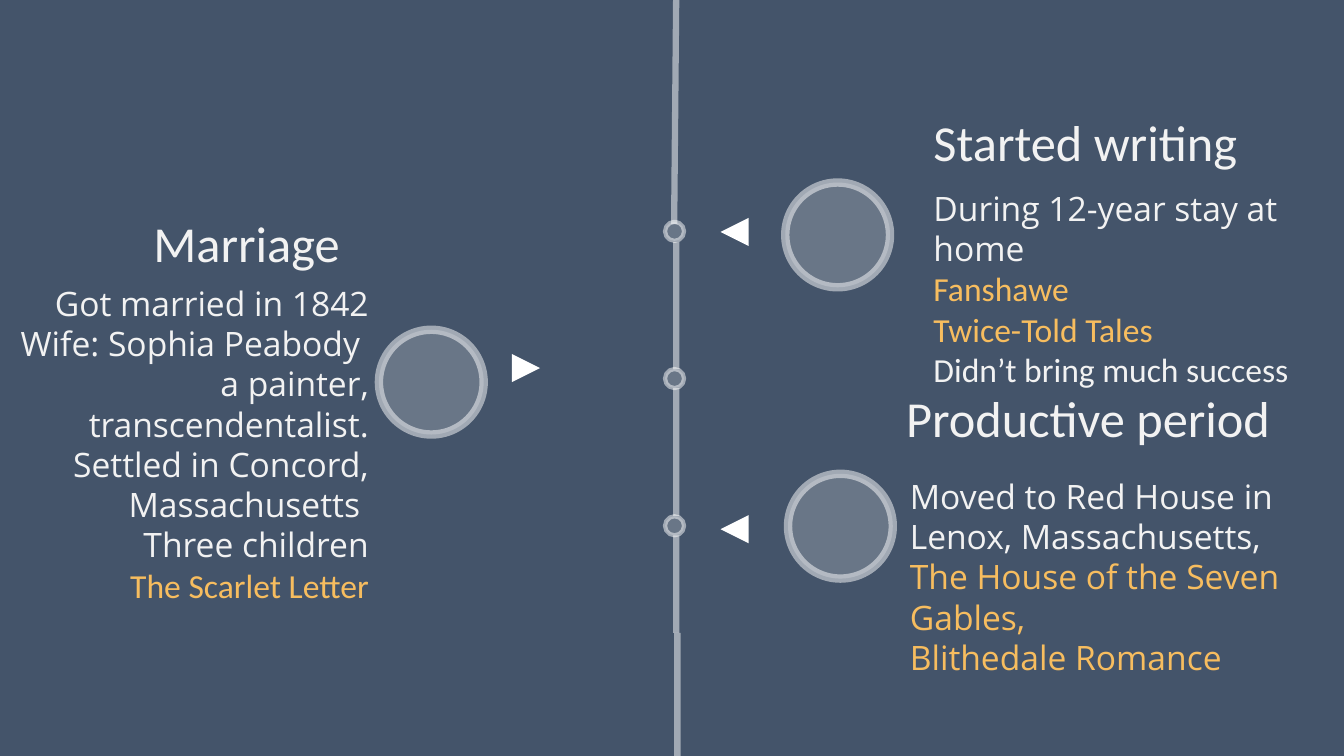
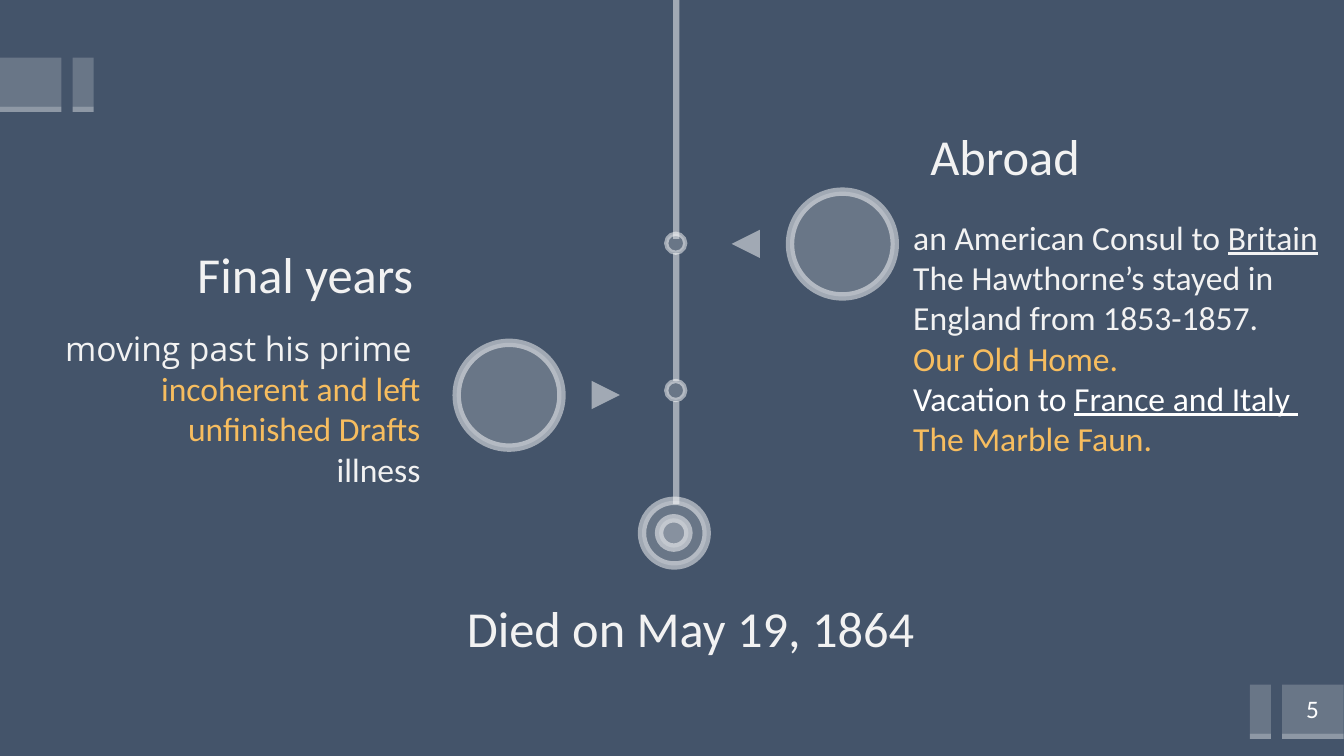
"""Build two timeline slides on the later life of a novelist."""
import dataclasses

import lxml.etree
import pptx
import pptx.dml.color
import pptx.enum.shapes
import pptx.enum.text
import pptx.oxml.ns
import pptx.util

Cm = pptx.util.Cm
Pt = pptx.util.Pt
qn = pptx.oxml.ns.qn
SHAPE = pptx.enum.shapes.MSO_SHAPE
ALIGN = pptx.enum.text.PP_ALIGN


@dataclasses.dataclass(frozen=True)
class Style:
    """Font, colour and underline of a run."""
    font: str
    color: str
    underline: bool = False


@dataclasses.dataclass(frozen=True)
class Theme:
    """Colours, type sizes, line weights and repeated sizes in centimetres."""
    back: str = "44546A"
    white: str = "FFFFFF"
    heading_pt: int = 36
    list_pt: int = 24
    page_pt: int = 18
    axis_pt: float = 4.5
    node_pt: int = 3
    ring_pt: int = 6
    fill_alpha: int = 20
    edge_alpha: int = 40
    line_alpha: int = 50
    node: float = 0.48
    ring: float = 2.64
    arrow: float = 0.71
    heading_h: float = 1.8
    axis_x: float = 17.04
    plain: Style = Style("Calibri", "F2F2F2")
    sans: Style = Style("Open Sans", "F2F2F2")
    book: Style = Style("Calibri", "F7BD5F")
    sans_book: Style = Style("Open Sans", "F7BD5F")
    bright: Style = Style("Calibri", "FFFFFF")
    place: Style = Style("Calibri", "F2F2F2", True)
    bright_place: Style = Style("Calibri", "FFFFFF", True)


T = Theme()


def rgb(color):
    """Turn a hex string into a colour."""
    return pptx.dml.color.RGBColor.from_string(color)


def fade(parent, percent):
    """Set the opacity of the first colour below an XML element."""
    color = next(parent.iter(qn("a:srgbClr")))
    lxml.etree.SubElement(color, qn("a:alpha")).set("val", str(percent * 1000))


def add_axis(s, y1, y2, x1=T.axis_x, x2=T.axis_x):
    """Draw one segment of the timeline."""
    line = s.shapes.add_connector(
        pptx.enum.shapes.MSO_CONNECTOR.STRAIGHT, Cm(x1), Cm(y1), Cm(x2), Cm(y2))
    line.line.color.rgb = rgb(T.white)
    line.line.width = Pt(T.axis_pt)
    props = line._element.spPr
    fade(props, T.line_alpha)
    lxml.etree.SubElement(props, qn("a:effectLst"))


def add_block(s, kind, x, y, w, h, alpha=100, weight=0):
    """Draw a white shape, with an outline when a weight is given."""
    sp = s.shapes.add_shape(kind, Cm(x), Cm(y), Cm(w), Cm(h))
    sp.shadow.inherit = False
    sp.fill.solid()
    sp.fill.fore_color.rgb = rgb(T.white)
    props = sp._element.spPr
    if alpha < 100:
        fade(props.find(qn("a:solidFill")), alpha)
    if weight:
        sp.line.color.rgb = rgb(T.white)
        sp.line.width = Pt(weight)
        fade(props.find(qn("a:ln")), T.line_alpha)
    else:
        sp.line.fill.background()
    return sp


def add_circle(s, x, y, size=T.ring, weight=T.ring_pt):
    """Draw a translucent ring."""
    add_block(s, SHAPE.OVAL, x, y, size, size, T.fill_alpha, weight)


def add_node(s, x, y):
    """Draw a small ring on the timeline."""
    add_circle(s, x, y, T.node, T.node_pt)


def add_arrow(s, x, y, rotation, alpha=100):
    """Draw a triangle that points at the timeline."""
    sp = add_block(s, SHAPE.FLOWCHART_EXTRACT, x, y, T.arrow, T.arrow, alpha)
    sp.rotation = rotation


def add_tab(s, y, wide_x, narrow_x):
    """Draw a wide and a narrow band, each with an edge below."""
    for x, w in ((wide_x, 1.55), (narrow_x, 0.53)):
        add_block(s, SHAPE.RECTANGLE, x, y, w, 1.24, T.fill_alpha)
        add_block(s, SHAPE.RECTANGLE, x, y + 1.24, w, 0.13, T.edge_alpha)


def write(sp, box, paragraphs, size, align=ALIGN.LEFT):
    """Place a shape and fill it with paragraphs of styled runs."""
    sp.left, sp.top, sp.width, sp.height = (Cm(v) for v in box)
    tf = sp.text_frame
    tf.word_wrap = True
    tf.auto_size = pptx.enum.text.MSO_AUTO_SIZE.SHAPE_TO_FIT_TEXT
    tf.vertical_anchor = pptx.enum.text.MSO_ANCHOR.TOP
    for i, runs in enumerate(paragraphs):
        p = tf.add_paragraph() if i else tf.paragraphs[0]
        p.alignment = align
        p.space_before = Pt(0)
        props = p._p.get_or_add_pPr()
        props.set("marL", "0")
        props.set("indent", "0")
        lxml.etree.SubElement(props, qn("a:buNone"))
        for text, style in runs:
            r = p.add_run()
            r.text = text
            r.font.name = style.font
            r.font.size = Pt(size)
            r.font.bold = False
            r.font.underline = style.underline
            r.font.color.rgb = rgb(style.color)


def write_heading(sp, x, y, w, text, align=ALIGN.LEFT):
    """Write the heading of an event."""
    write(sp, (x, y, w, T.heading_h), [[(text, T.plain)]], T.heading_pt, align)


def write_list(sp, box, paragraphs, align=ALIGN.LEFT):
    """Write the details of an event."""
    write(sp, box, paragraphs, T.list_pt, align)


def add_text_box(s):
    """Add a text box to be placed when it is written."""
    return s.shapes.add_textbox(Cm(0), Cm(0), Cm(1), Cm(1))


def build_career(prs):
    """Build the slide on early writing, marriage and the productive period."""
    s = prs.slides.add_slide(prs.slide_layouts.get_by_name("Comparison"))
    ph = s.placeholders
    add_axis(s, 0, 5.64, x2=16.99)
    for y1, y2 in ((6.1, 9.3), (9.78, 13), (13.49, 15.95)):
        add_axis(s, y1, y2)
    add_axis(s, 15.95, 19.1, 17.07, 17.07)
    for i in range(3):
        add_node(s, 16.76, 5.59 + 3.71 * i)
    for x, y, rotation in ((18.16, 5.49, 270), (12.9, 8.92, 90), (18.16, 12.98, 270)):
        add_arrow(s, x, y, rotation)
    for x, y in ((19.79, 4.6), (9.55, 8.31), (19.86, 11.94)):
        add_circle(s, x, y)
    write_heading(ph[0], 23.27, 2.67, 8.36, "Started writing")
    write_list(ph[2], (23.27, 4.6, 10.29, 4.37), [
        [("During 12-year stay at home", T.sans)],
        [("Fanshawe", T.book)],
        [("Twice-Told Tales", T.book)],
        [("Didn’t bring much success", T.plain)]])
    write_heading(ph[1], 0.46, 5.23, 8.36, "Marriage", ALIGN.RIGHT)
    write_list(ph[4], (-0.48, 6.99, 10.03, 7.44), [
        [("Got married in 1842", T.sans)],
        [("Wife: Sophia Peabody ", T.sans)],
        [("a painter, transcendentalist.", T.sans)],
        [("Settled in Concord, Massachusetts ", T.sans)],
        [("Three children", T.sans)],
        [("The Scarlet Letter", T.book)]], ALIGN.RIGHT)
    write_heading(ph[3], 22.58, 9.63, 10.41, "Productive period ")
    write_list(add_text_box(s), (22.68, 11.86, 11.96, 4.37), [
        [("Moved to Red House in Lenox, Massachusetts,", T.sans)],
        [("The House of the Seven Gables, ", T.sans_book)],
        [("Blithedale Romance", T.sans_book)]])


def build_last_years(prs):
    """Build the slide on the years abroad, the final years and the death."""
    s = prs.slides.add_slide(prs.slide_layouts.get_by_name("Comparison"))
    ph = s.placeholders
    add_tab(s, 1.45, 0, 1.83)
    add_tab(s, 17.25, 32.31, 31.5)
    write(add_text_box(s), (32.44, 17.35, 1.27, 1.02), [[("5", T.bright)]],
          T.page_pt, ALIGN.CENTER)
    for y1, y2 in ((0, 6.02), (6.38, 9.6), (10.11, 12.7)):
        add_axis(s, y1, y2)
    for i in range(2):
        add_node(s, 16.79, 5.89 + 3.71 * i)
    add_arrow(s, 18.44, 5.79, 270, T.line_alpha)
    add_arrow(s, 14.91, 9.6, 90, T.line_alpha)
    add_circle(s, 19.91, 4.83)
    add_circle(s, 11.51, 8.64)
    add_circle(s, 16.18, 12.62, 1.63)
    add_circle(s, 16.61, 13.06, 0.74)
    write_heading(ph[0], 23.19, 3.02, 4.32, "Abroad")
    write_list(ph[2], (22.76, 5.33, 10.95, 6.4), [
        [("an American Consul to ", T.plain), ("Britain", T.place), (" ", T.plain)],
        [("The Hawthorne’s stayed in England from 1853-1857.\u00a0", T.plain)],
        [("Our Old Home. ", T.book)],
        [("Vacation to ", T.bright), ("France and Italy ", T.bright_place)],
        [("The Marble Faun.\u00a0 ", T.book)]])
    write_heading(ph[1], 2.31, 5.99, 8.36, "Final years", ALIGN.RIGHT)
    write_list(ph[4], (1.17, 8.13, 9.68, 4.37), [
        [("moving past his prime ", T.sans)],
        [("incoherent and left unfinished Drafts", T.book)],
        [("illness", T.plain)]], ALIGN.RIGHT)
    write_heading(ph[3], 11.51, 14.91, 11.89, "Died on May 19, 1864")


def main():
    """Build and save the presentation."""
    prs = pptx.Presentation()
    prs.slide_width, prs.slide_height = Cm(33.87), Cm(19.05)
    fill = prs.slide_master.background.fill
    fill.solid()
    fill.fore_color.rgb = rgb(T.back)
    build_career(prs)
    build_last_years(prs)
    prs.save("out.pptx")


main()
